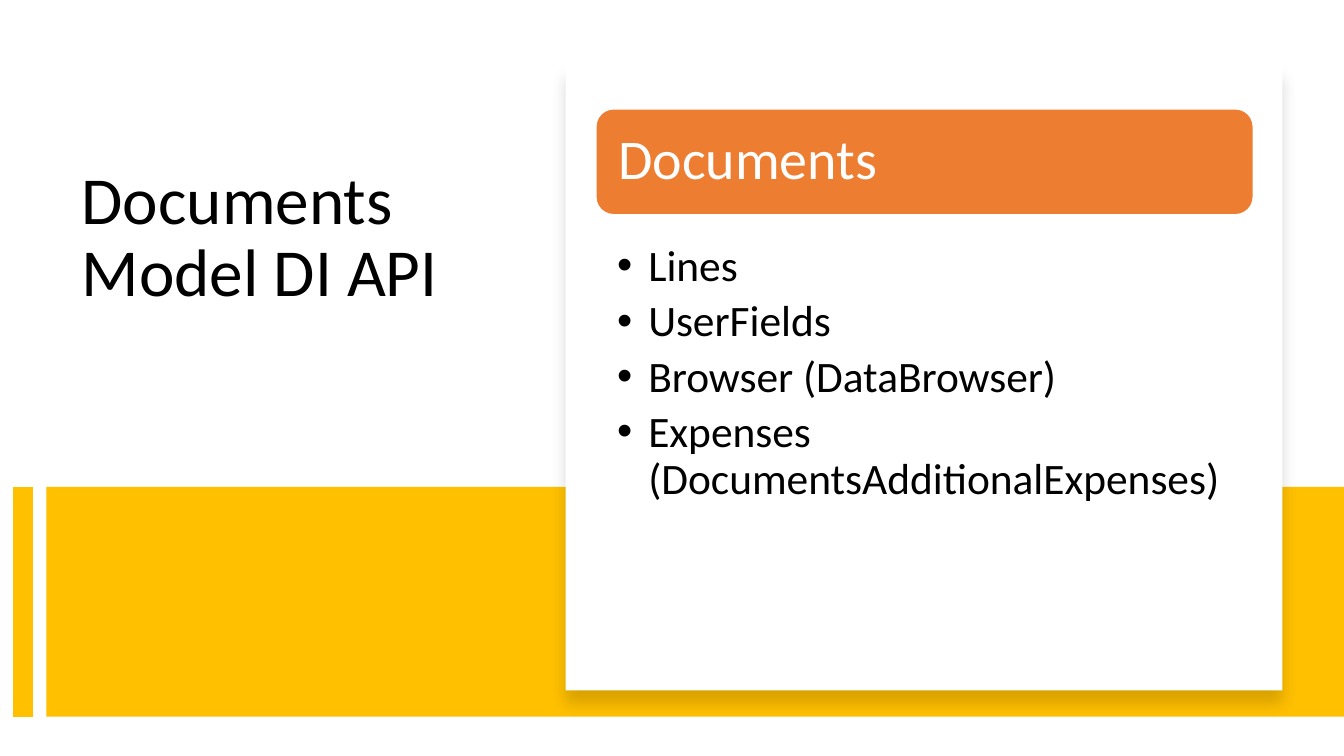
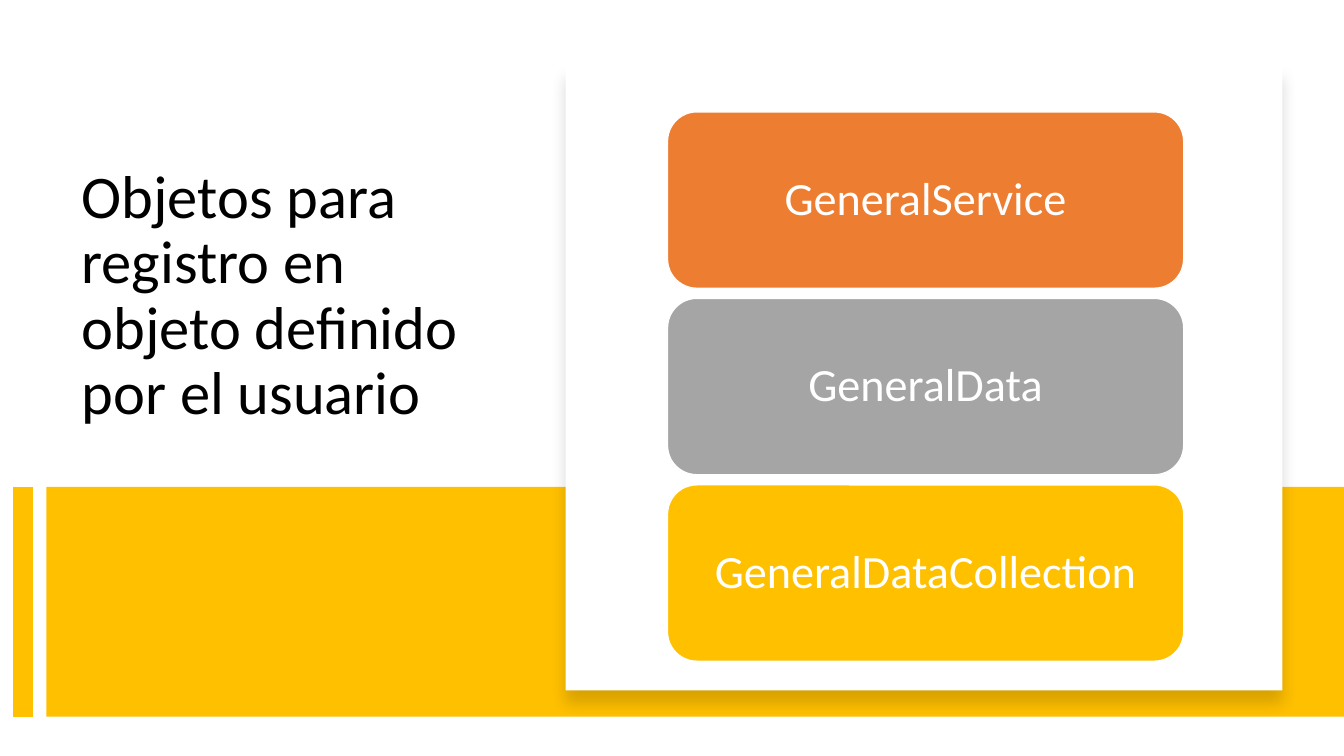
"""Two slides on the DI API objects, each with a title, a gold band and a white panel."""
from dataclasses import dataclass

from lxml import etree
from pptx import Presentation
from pptx.dml.color import RGBColor
from pptx.enum.shapes import MSO_CONNECTOR, MSO_SHAPE
from pptx.enum.text import MSO_ANCHOR, MSO_AUTO_SIZE, PP_ALIGN
from pptx.oxml.ns import qn
from pptx.util import Inches, Pt

RECTANGLE, ROUNDED = MSO_SHAPE.RECTANGLE, MSO_SHAPE.ROUNDED_RECTANGLE
STRAIGHT = MSO_CONNECTOR.STRAIGHT
TOP, MIDDLE = MSO_ANCHOR.TOP, MSO_ANCHOR.MIDDLE
LEFT, CENTER = PP_ALIGN.LEFT, PP_ALIGN.CENTER
NO_AUTOFIT = MSO_AUTO_SIZE.NONE
TITLE_ONLY = 5


@dataclass(frozen=True)
class Theme:
    """Colours, font and type sizes of the deck."""
    font: str = "Calibri"
    black: str = "000000"
    white: str = "FFFFFF"
    orange: str = "ED7D31"
    grey: str = "A5A5A5"
    gold: str = "FFC000"
    title_size: float = 48
    long_title_size: float = 43.2
    heading_size: float = 40
    card_size: float = 33
    bullet_size: float = 31
    line_spacing: float = 0.9


THEME = Theme()

MODEL_TITLE = "Documents Model DI API"
MODEL_HEADING = "Documents"
MODEL_MEMBERS = [
    "Lines",
    "UserFields",
    "Browser (DataBrowser)",
    "Expenses (DocumentsAdditionalExpenses)",
]
SERVICE_TITLE = "Objetos para registro en objeto definido por el usuario"
SERVICE_OBJECTS = [
    ("GeneralService", THEME.orange),
    ("GeneralData", THEME.grey),
    ("GeneralDataCollection", THEME.gold),
]

# Boxes are left, top, width, height in inches
SLIDE_SIZE = (13.33, 7.5)
TITLE_BOX = (0.71, 1.6, 4.15, 2.94)
BAND_BOX = (0.46, 4.83, 12.87, 2.28)
STRIPE_X = 0.23
PANEL_BOX = (5.61, 0.64, 7.11, 6.21)
HEADING_BOX = (5.91, 1.08, 6.52, 1.05)
MEMBERS_BOX = (5.91, 2.36, 6.52, 3.44)
FIRST_CARD_BOX = (6.62, 1.11, 5.12, 1.75)
CARD_GAP = 0.1
BULLET_INDENT = 0.31
TITLE_INSETS = (0.1, 0.05, 0.1, 0.05)
HEADING_INSETS = (0.17,) * 4
MEMBERS_INSETS = (0.21, 0.06, 0.31, 0.06)
CARD_INSETS = (0.14, 0.07, 0.14, 0.07)


def inches(values):
    """Turn a tuple of inches into lengths."""
    return [Inches(value) for value in values]


def write(shape, lines, size, color, insets, anchor=TOP, align=LEFT, space_after=0):
    """Fill a shape with paragraphs of one style."""
    frame = shape.text_frame
    frame.word_wrap = True
    frame.auto_size = NO_AUTOFIT
    frame.vertical_anchor = anchor
    (frame.margin_left, frame.margin_top,
     frame.margin_right, frame.margin_bottom) = inches(insets)
    frame.text = "\n".join(lines)
    for paragraph in frame.paragraphs:
        paragraph.alignment = align
        paragraph.line_spacing = THEME.line_spacing
        paragraph.space_after = Pt(space_after)
        for run in paragraph.runs:
            run.font.name = THEME.font
            run.font.size = Pt(size)
            run.font.color.rgb = RGBColor.from_string(color)


def add_block(slide, kind, box, fill, outline=None):
    """Add a filled shape without shadow, outlined only on request."""
    block = slide.shapes.add_shape(kind, *inches(box))
    block.shadow.inherit = False
    block.fill.solid()
    block.fill.fore_color.rgb = RGBColor.from_string(fill)
    if outline:
        block.line.color.rgb = RGBColor.from_string(outline)
        block.line.width = Pt(1)
    else:
        block.line.fill.background()
    return block


def add_stripe(slide):
    """Add the thick vertical line beside the band."""
    top, height = BAND_BOX[1], BAND_BOX[3]
    stripe = slide.shapes.add_connector(
        STRAIGHT, *inches((STRIPE_X, top, STRIPE_X, top + height)))
    stripe.line.color.rgb = RGBColor.from_string(THEME.gold)
    stripe.line.width = Pt(14)
    etree.SubElement(stripe._element.spPr, qn("a:effectLst"))


def add_panel(slide):
    """Add the white panel with its soft shadow below."""
    panel = add_block(slide, RECTANGLE, PANEL_BOX, THEME.white)
    effects = panel._element.spPr.find(qn("a:effectLst"))
    shadow = etree.SubElement(
        effects, qn("a:outerShdw"), blurRad=str(Pt(11)), dist=str(Pt(10)),
        dir="5400000", algn="t", rotWithShape="0")
    tint = etree.SubElement(shadow, qn("a:srgbClr"), val=THEME.black)
    etree.SubElement(tint, qn("a:alpha"), val="15000")


def add_bullets(text_box):
    """Give every paragraph a round bullet with a hanging indent."""
    indent = Inches(BULLET_INDENT)
    for paragraph in text_box.text_frame.paragraphs:
        properties = paragraph._p.get_or_add_pPr()
        properties.set("marL", str(indent))
        properties.set("indent", str(-indent))
        etree.SubElement(properties, qn("a:buFont"), typeface="Arial")
        etree.SubElement(properties, qn("a:buChar"), char="•")


def start_slide(deck, title, size):
    """Add a slide with the title, band, stripe and panel that all slides share."""
    slide = deck.slides.add_slide(deck.slide_layouts[TITLE_ONLY])
    heading = slide.shapes.title
    heading.left, heading.top, heading.width, heading.height = inches(TITLE_BOX)
    write(heading, [title], size, THEME.black, TITLE_INSETS)
    add_block(slide, RECTANGLE, BAND_BOX, THEME.gold)
    add_stripe(slide)
    add_panel(slide)
    return slide


def build_model_slide(deck):
    """Show the members of the Documents object."""
    slide = start_slide(deck, MODEL_TITLE, THEME.title_size)
    heading = add_block(slide, ROUNDED, HEADING_BOX, THEME.orange, THEME.white)
    write(heading, [MODEL_HEADING], THEME.heading_size, THEME.white,
          HEADING_INSETS, MIDDLE)
    members = slide.shapes.add_textbox(*inches(MEMBERS_BOX))
    write(members, MODEL_MEMBERS, THEME.bullet_size, THEME.black,
          MEMBERS_INSETS, space_after=6)
    add_bullets(members)


def build_service_slide(deck):
    """Stack one card for each service object."""
    slide = start_slide(deck, SERVICE_TITLE, THEME.long_title_size)
    left, first_top, width, height = FIRST_CARD_BOX
    for row, (name, color) in enumerate(SERVICE_OBJECTS):
        top = first_top + row * (height + CARD_GAP)
        card = add_block(slide, ROUNDED, (left, top, width, height), color, THEME.white)
        write(card, [name], THEME.card_size, THEME.white, CARD_INSETS, MIDDLE, CENTER)


def main():
    """Build and save the deck."""
    deck = Presentation()
    deck.slide_width, deck.slide_height = inches(SLIDE_SIZE)
    build_model_slide(deck)
    build_service_slide(deck)
    deck.save("out.pptx")


main()
